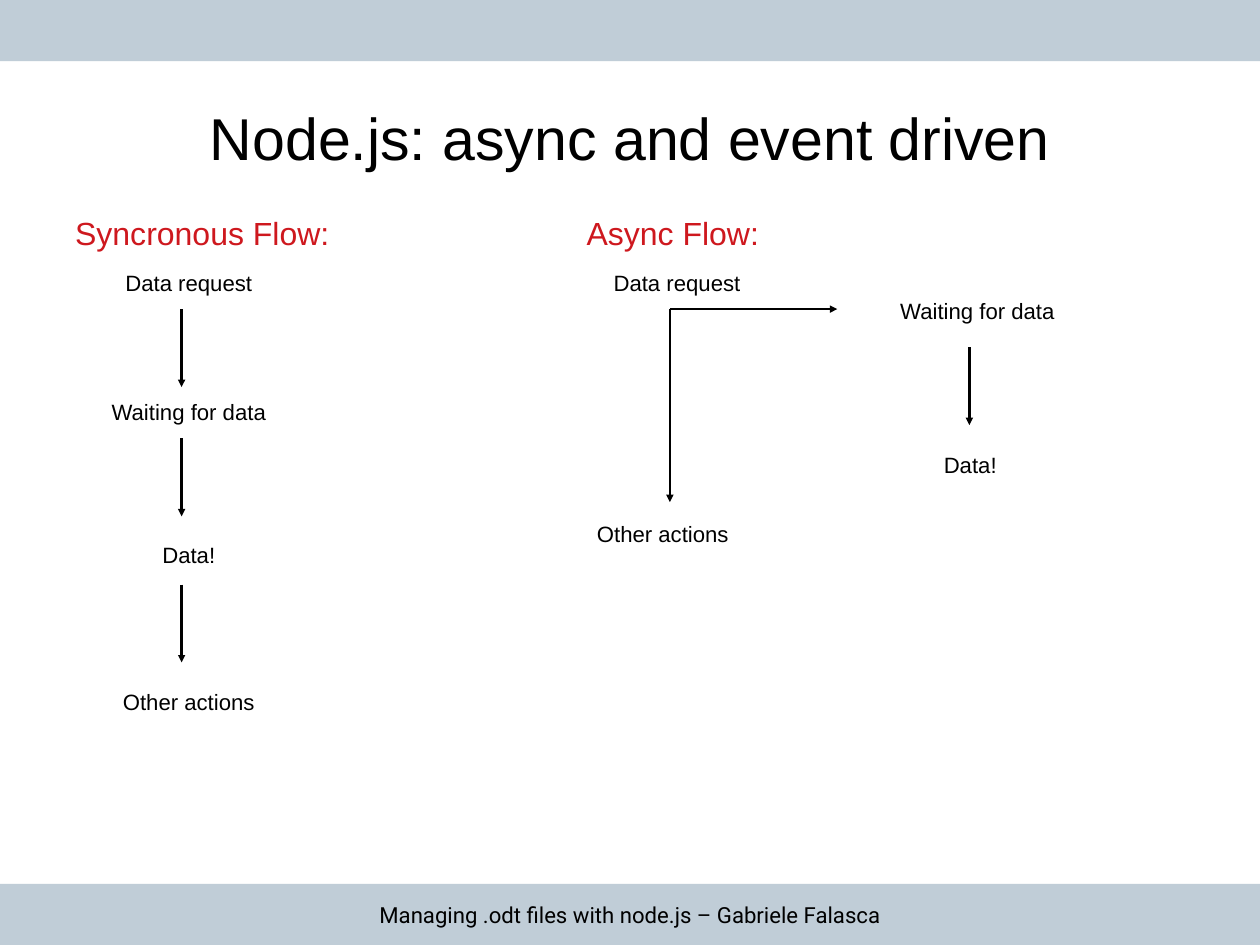
from lxml.etree import SubElement
from pptx import Presentation
from pptx.dml.color import RGBColor
from pptx.enum.shapes import MSO_CONNECTOR, MSO_SHAPE
from pptx.enum.text import MSO_ANCHOR, MSO_AUTO_SIZE, PP_ALIGN
from pptx.oxml.ns import qn
from pptx.util import Inches, Pt


def color(value):
    return RGBColor.from_string(value)


def write_text(shape, text, left, top, width, height, size, font_color="000000",
               font_name="Arial", anchor=MSO_ANCHOR.TOP):
    placement = {"left": left, "top": top, "width": width, "height": height}
    for name, value in placement.items():
        setattr(shape, name, Inches(value))
    frame = shape.text_frame
    frame_format = {
        "word_wrap": True, "auto_size": MSO_AUTO_SIZE.NONE, "vertical_anchor": anchor,
        "margin_left": Inches(0.1), "margin_right": Inches(0.1),
        "margin_top": Inches(0.05), "margin_bottom": Inches(0.05),
    }
    for name, value in frame_format.items():
        setattr(frame, name, value)
    paragraph = frame.paragraphs[0]
    paragraph.text = text
    paragraph.alignment = PP_ALIGN.CENTER
    for name, value in {"name": font_name, "size": Pt(size)}.items():
        setattr(paragraph.font, name, value)
    paragraph.font.color.rgb = color(font_color)


presentation = Presentation()
presentation.slide_width = Inches(14.22)
presentation.slide_height = Inches(10.67)
slide = presentation.slides.add_slide(presentation.slide_layouts[5])
shapes = slide.shapes
title = shapes.title

for bar_top in (0, 9.98):
    bar = shapes.add_shape(MSO_SHAPE.RECTANGLE, Inches(-0.02), Inches(bar_top),
                           Inches(14.27), Inches(0.69))
    bar.shadow.inherit = False
    bar.fill.solid()
    bar.fill.fore_color.rgb = color("2F5A7C")
    bar.line.fill.background()
    fill_color = bar.fill._xPr.find(qn("a:solidFill"))[0]
    SubElement(fill_color, qn("a:alpha"), val="30000")

write_text(title, "Node.js: async and event driven", 0, 1.1, 14.22, 0.84, 48)

footer = shapes.add_textbox(0, 0, 0, 0)
write_text(footer, "Managing .odt files with node.js – Gabriele Falasca",
           2.22, 9.98, 9.78, 0.69, 18, font_name="Roboto", anchor=MSO_ANCHOR.MIDDLE)

for text, left in (("Syncronous Flow:", 0), ("Async Flow:", 5.31)):
    heading = shapes.add_textbox(0, 0, 0, 0)
    write_text(heading, text, left, 2.36, 4.57, 0.5, 26, "CE181E")

steps = [
    ("Data request", 0.79, 2.99),
    ("Waiting for data", 0.79, 4.45),
    ("Data!", 0.79, 6.06),
    ("Other actions", 0.79, 7.72),
    ("Data request", 6.3, 2.99),
    ("Other actions", 6.14, 5.83),
    ("Waiting for data", 9.69, 3.31),
    ("Data!", 9.61, 5.05),
]
for text, left, top in steps:
    step = shapes.add_textbox(0, 0, 0, 0)
    write_text(step, text, left, top, 2.68, 0.38, 18)

arrows = [
    (2.05, 3.49, 2.05, 4.37),
    (2.05, 4.95, 2.05, 5.83),
    (2.05, 6.6, 2.05, 7.48),
    (7.56, 3.49, 7.56, 5.67),
    (7.56, 3.49, 9.45, 3.49),
    (10.94, 3.92, 10.94, 4.8),
]
for ends in arrows:
    arrow = shapes.add_connector(MSO_CONNECTOR.STRAIGHT, *[Inches(end) for end in ends])
    arrow.line.color.rgb = color("000000")
    arrow.line.width = Pt(0)
    SubElement(arrow.line._get_or_add_ln(), qn("a:tailEnd"), type="triangle")
    SubElement(arrow._element.spPr, qn("a:effectLst"))

presentation.save("out.pptx")
